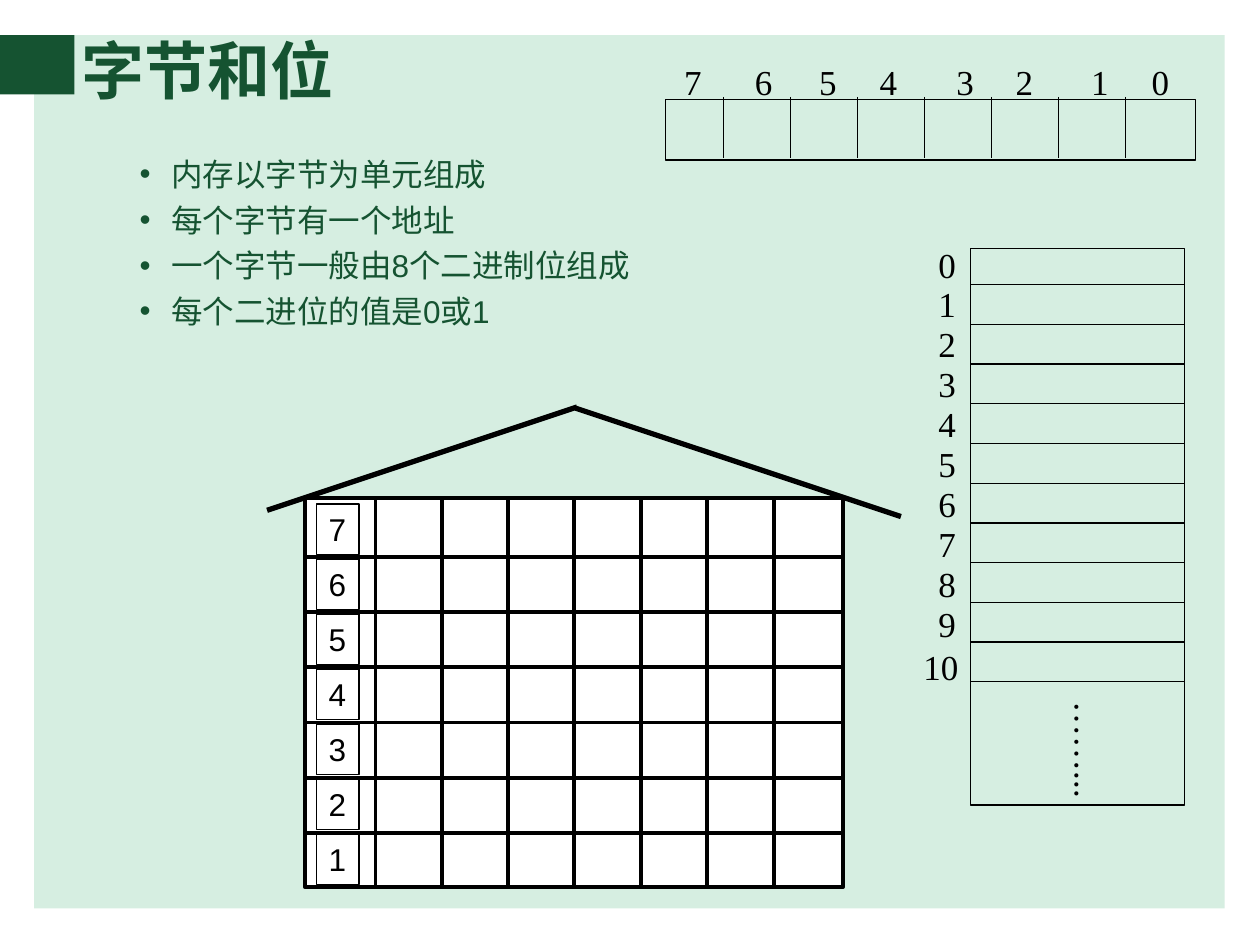
from lxml import etree
from pptx import Presentation
from pptx.dml.color import RGBColor
from pptx.enum.shapes import MSO_CONNECTOR, MSO_SHAPE
from pptx.enum.text import MSO_ANCHOR, PP_ALIGN
from pptx.oxml.ns import qn
from pptx.util import Inches, Pt

RECTANGLE = MSO_SHAPE.RECTANGLE
STRAIGHT = MSO_CONNECTOR.STRAIGHT
TOP, MIDDLE = MSO_ANCHOR.TOP, MSO_ANCHOR.MIDDLE
LEFT, CENTER = PP_ALIGN.LEFT, PP_ALIGN.CENTER

GREEN, PALE_GREEN = "155331", "D6EEE1"
BLACK, WHITE = "000000", "FFFFFF"
THIN, WALL, ROOF = 0.75, 2.25, 3
SERIF, SANS = "Times New Roman", "Arial"

BULLETS = [
    "内存以字节为单元组成",
    "每个字节有一个地址",
    "一个字节一般由8个二进制位组成",
    "每个二进位的值是0或1",
]
# Left edge of each bit number, from bit 7 down to bit 0
BIT_LEFTS = [5.33, 5.89, 6.4, 6.88, 7.49, 7.96, 8.56, 9.04]


def color(hex_code):
    return RGBColor.from_string(hex_code)


def spread(first, last, count):
    """Return evenly spaced positions from first to last."""
    step = (last - first) / (count - 1)
    return [first + step * index for index in range(count)]


def add_rectangle(slide, left, top, width, height, fill=None, line_width=None):
    shape = slide.shapes.add_shape(
        RECTANGLE, Inches(left), Inches(top), Inches(width), Inches(height))
    shape.shadow.inherit = False
    if fill:
        shape.fill.solid()
        shape.fill.fore_color.rgb = color(fill)
    else:
        shape.fill.background()
    if line_width:
        shape.line.color.rgb = color(BLACK)
        shape.line.width = Pt(line_width)
    else:
        shape.line.fill.background()
    return shape


def add_line(slide, x1, y1, x2, y2, width):
    line = slide.shapes.add_connector(
        STRAIGHT, Inches(x1), Inches(y1), Inches(x2), Inches(y2))
    line.line.color.rgb = color(BLACK)
    line.line.width = Pt(width)
    etree.SubElement(line._element.spPr, qn("a:effectLst"))
    return line


def style_font(paragraph, size, name, hex_code, bold=False):
    font = paragraph.font
    font.size, font.name, font.bold = Pt(size), name, bold
    font.color.rgb = color(hex_code)


def write_text(shape, text, size, name, hex_code=BLACK, bold=False,
               align=LEFT, anchor=TOP):
    frame = shape.text_frame
    frame.word_wrap = False
    frame.vertical_anchor = anchor
    paragraph = frame.paragraphs[0]
    paragraph.text = text
    paragraph.alignment = align
    style_font(paragraph, size, name, hex_code, bold)


def add_label(slide, left, top, width, height, text, size=20, name=SERIF, **style):
    box = slide.shapes.add_textbox(
        Inches(left), Inches(top), Inches(width), Inches(height))
    write_text(box, text, size, name, **style)
    return box


def add_bullets(slide, left, top, width, height, items):
    box = slide.shapes.add_textbox(
        Inches(left), Inches(top), Inches(width), Inches(height))
    frame = box.text_frame
    frame.word_wrap = True
    for index, item in enumerate(items):
        paragraph = frame.add_paragraph() if index else frame.paragraphs[0]
        paragraph.text = item
        if index:
            paragraph.space_before = Pt(4.5)
        properties = paragraph._p.get_or_add_pPr()
        properties.set("marL", str(Inches(1)))
        properties.set("indent", str(Inches(-0.25)))
        bullet_color = etree.SubElement(properties, qn("a:buClr"))
        etree.SubElement(bullet_color, qn("a:srgbClr"), val=GREEN)
        etree.SubElement(properties, qn("a:buFont"), typeface=SANS)
        etree.SubElement(properties, qn("a:buChar"), char="•")
        style_font(paragraph, 18, SANS, GREEN)


def add_byte(slide):
    """One byte as a row of eight numbered bits."""
    add_rectangle(slide, 5.28, 0.79, 4.21, 0.48, line_width=THIN)
    for x in spread(5.74, 8.93, 7):
        add_line(slide, x, 0.77, x, 1.25, THIN)
    for bit, left in zip(range(7, -1, -1), BIT_LEFTS):
        add_label(slide, left, 0.43, 0.34, 0.44, str(bit),
                  align=CENTER, anchor=MIDDLE)


def add_memory(slide):
    """Memory as a column of addressed bytes."""
    add_rectangle(slide, 7.7, 1.97, 1.7, 4.42, line_width=THIN)
    for y in spread(2.26, 5.41, 11):
        add_line(slide, 7.7, y, 9.4, y, THIN)
    for address, top in enumerate(spread(1.88, 4.73, 10)):
        add_label(slide, 7.35, top, 0.34, 0.44, str(address))
    add_label(slide, 7.23, 5.07, 0.48, 0.44, "10")

    # Vertical dots for the remaining addresses
    dots = add_label(slide, 8.33, 5.47, 0.53, 0.87, "……...")
    frame = dots.text_frame
    frame.margin_left = frame.margin_right = Inches(0.05)
    frame.margin_top = frame.margin_bottom = Inches(0.1)
    frame._txBody.bodyPr.set("vert", "eaVert")


def add_house(slide):
    """A building whose numbered floors stand for bytes."""
    left, right, top, bottom = 2.42, 6.69, 3.95, 7.04
    add_line(slide, 4.58, 3.23, 2.12, 4.05, ROOF)
    add_line(slide, 4.57, 3.24, 7.15, 4.1, ROOF)
    walls = add_rectangle(slide, left, top, right - left, bottom - top,
                          fill=WHITE, line_width=WALL)
    for y in spread(4.42, 6.61, 6):
        add_line(slide, left, y, right, y, WALL)
    columns = [add_line(slide, x, top, x, bottom, WALL)
               for x in spread(2.98, 6.14, 7)]
    columns[3].begin_connect(walls, 0)
    columns[3].end_connect(walls, 2)
    for floor, y in zip(range(7, 0, -1), spread(4, 6.62, 7)):
        plate = add_rectangle(slide, 2.51, y, 0.34, 0.4, line_width=THIN)
        write_text(plate, str(floor), 18, SANS)


def main():
    presentation = Presentation()
    presentation.slide_width, presentation.slide_height = Inches(10), Inches(7.5)
    slide = presentation.slides.add_slide(presentation.slide_layouts[6])

    # Background panel and title
    add_rectangle(slide, 0.27, 0.28, 9.45, 6.93, fill=PALE_GREEN)
    add_rectangle(slide, 0, 0.28, 0.59, 0.47, fill=GREEN)
    add_label(slide, 0.55, 0.2, 5.93, 0.7, "字节和位", 36, SANS,
              hex_code=GREEN, bold=True, anchor=MIDDLE)

    # Content
    add_bullets(slide, 0.26, 1.18, 9.3, 2.52, BULLETS)
    add_byte(slide)
    add_memory(slide)
    add_house(slide)
    presentation.save("out.pptx")


if __name__ == "__main__":
    main()
